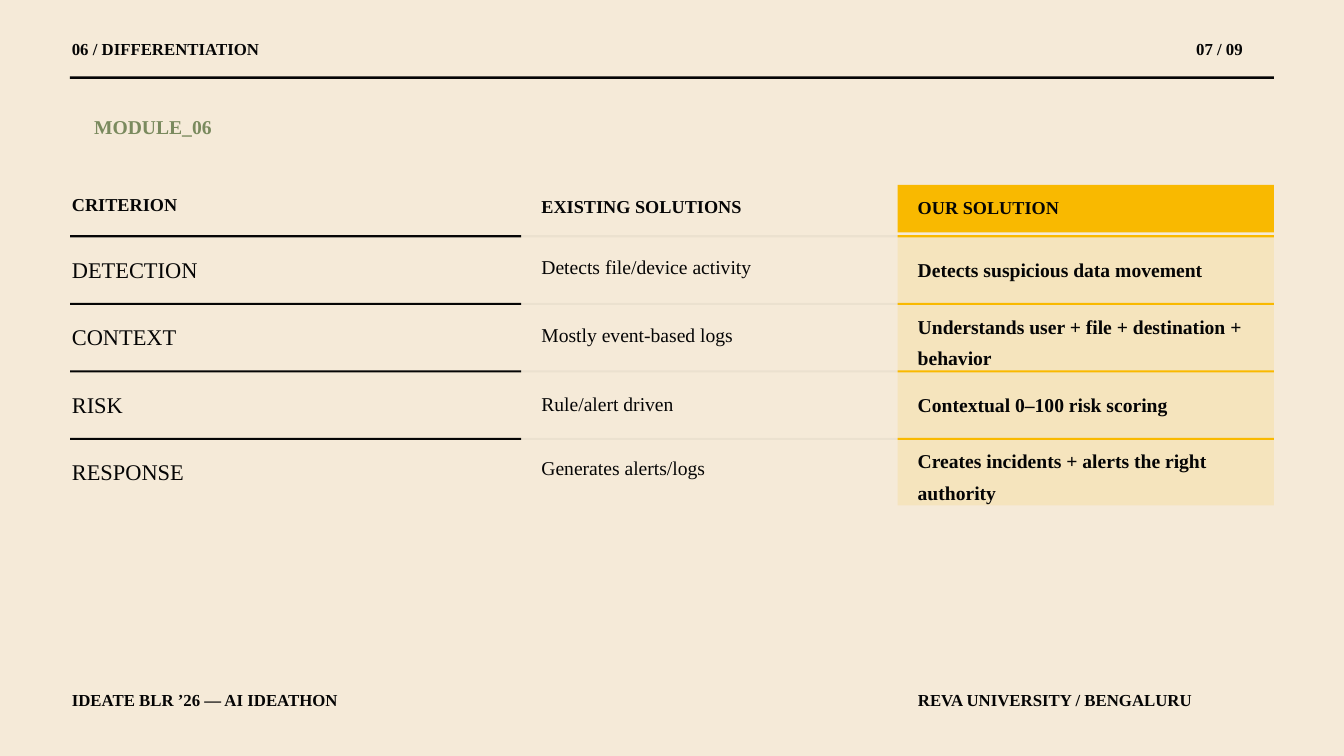
import pptx
import pptx.dml.color
import pptx.enum.shapes
import pptx.enum.text
import pptx.oxml.ns
import pptx.util
from lxml import etree

Pt = pptx.util.Pt
RGBColor = pptx.dml.color.RGBColor
name = pptx.oxml.ns.qn

CREAM = RGBColor(0xF5, 0xEA, 0xD8)
INK = RGBColor(0x05, 0x05, 0x05)
OLIVE = RGBColor(0x7A, 0x8A, 0x5E)
AMBER = RGBColor(0xF9, 0xB9, 0x00)
FONT = "Times New Roman"

# Content: text, left, top, width, height, size, line spacing, colour
LABELS = [
    ("06 / DIFFERENTIATION", 77, 34, 305, 28, 18, 29.2, INK),
    ("07 / 09", 1281.6, 34, 87, 28, 18, 29.2, INK),
    ("MODULE_06", 100.8, 114.5, 165, 32, 21, 33.6, OLIVE),
    ("IDEATE BLR ʼ26 — AI IDEATHON", 77, 731.5, 410, 28, 18, 29.2, INK),
    ("REVA UNIVERSITY / BENGALURU", 983.5, 731.5, 418, 28, 18, 29.2, INK),
]

# Each cell: text, space above it
ROWS = [
    [("CRITERION", 1.5), ("EXISTING SOLUTIONS", 3.6), ("OUR SOLUTION", 5)],
    [("DETECTION", 11.5), ("Detects file/device activity", 12),
     ("Detects suspicious data movement", 15.6)],
    [("CONTEXT", 11.5), ("Mostly event-based logs", 12.6),
     ("Understands user + file + destination + behavior", 4)],
    [("RISK", 11.5), ("Rule/alert driven", 14.4),
     ("Contextual 0–100 risk scoring", 15)],
    [("RESPONSE", 11.5), ("Generates alerts/logs", 9.8),
     ("Creates incidents + alerts the right authority", 3.2)],
]
# Each column: width, left inset, rule colour, rule opacity in percent,
# tint opacity in percent, body size, body spacing, bold
COLUMNS = [
    (483.5, 2, INK, 100, 0, 24, 38.6, False),
    (403.3, 21.6, INK, 4, 0, 21, 33.6, False),
    (403.2, 21.5, AMBER, 100, 12, 21, 33.6, True),
]
LEFT, TOP = 75, 198
HEADER_HEIGHT, ROW_HEIGHT = 55, 72.4
RULE = 2.25
RULES_TOP = TOP + HEADER_HEIGHT - 1
TABLE_WIDTH = sum(column[0] for column in COLUMNS)


def write_text(frame, text, size=21, spacing=33.6, color=INK, bold=True):
    paragraph = frame.paragraphs[0]
    paragraph.line_spacing = Pt(spacing)
    span = paragraph.add_run()
    span.text = text
    span.font.name = FONT
    span.font.size = Pt(size)
    span.font.bold = bold
    span.font.color.rgb = color


def add_label(page, text, left, top, width, height, **text_format):
    box = page.shapes.add_textbox(Pt(left), Pt(top), Pt(width), Pt(height))
    frame = box.text_frame
    frame.word_wrap = True
    frame.margin_left = frame.margin_right = 0
    frame.margin_top = frame.margin_bottom = 0
    write_text(frame, text, **text_format)


def add_bar(page, left, top, width, height, color, opacity=100):
    bar = page.shapes.add_shape(
        pptx.enum.shapes.MSO_SHAPE.RECTANGLE,
        Pt(left), Pt(top), Pt(width), Pt(height))
    bar.shadow.inherit = False
    bar.fill.solid()
    bar.fill.fore_color.rgb = color
    bar.line.fill.background()
    if opacity < 100:
        shade = bar._element.spPr.find(
            name("a:solidFill")).find(name("a:srgbClr"))
        etree.SubElement(shade, name("a:alpha")).set("val", str(opacity * 1000))


def clear_borders(cell):
    properties = cell._tc.get_or_add_tcPr()
    for edge in ("a:lnL", "a:lnR", "a:lnT", "a:lnB"):
        line = etree.SubElement(properties, name(edge), w="0")
        etree.SubElement(line, name("a:noFill"))


def add_rules_and_tints(page):
    # The amber header panel stops just short of the rule below it
    panel_width = COLUMNS[-1][0]
    add_bar(page, LEFT + TABLE_WIDTH - panel_width, TOP, panel_width, 51, AMBER)

    for r in range(len(ROWS) - 1):
        left, top = LEFT, RULES_TOP + r * ROW_HEIGHT
        for width, _, color, opacity, tint, *_ in COLUMNS:
            if tint:
                add_bar(page, left, top, width, ROW_HEIGHT, color, tint)
            add_bar(page, left, top, width, RULE, color, opacity)
            left += width


def add_comparison(page):
    heights = [HEADER_HEIGHT] + [ROW_HEIGHT] * (len(ROWS) - 1)
    table = page.shapes.add_table(
        len(ROWS), len(COLUMNS), Pt(LEFT), Pt(TOP),
        Pt(TABLE_WIDTH), Pt(sum(heights))).table
    table.horz_banding = False
    for row, height in zip(table.rows, heights):
        row.height = Pt(height)

    for c, (width, inset, _, _, _, size, spacing, bold) in enumerate(COLUMNS):
        table.columns[c].width = Pt(width)
        for r, row in enumerate(ROWS):
            text, space_above = row[c]
            cell = table.cell(r, c)
            cell.margin_left, cell.margin_right = Pt(inset), Pt(9)
            cell.margin_top, cell.margin_bottom = Pt(space_above), 0
            cell.vertical_anchor = pptx.enum.text.MSO_ANCHOR.TOP
            clear_borders(cell)
            cell.fill.background()
            if r == 0:
                write_text(cell.text_frame, text, size=19.5, spacing=31.4)
            else:
                write_text(cell.text_frame, text, size=size,
                           spacing=spacing, bold=bold)


def main():
    deck = pptx.Presentation()
    deck.slide_width, deck.slide_height = Pt(1440), Pt(810)
    page = deck.slides.add_slide(deck.slide_layouts[6])
    page.background.fill.solid()
    page.background.fill.fore_color.rgb = CREAM

    # Header rule, running labels and section name
    add_bar(page, LEFT, 81.9, TABLE_WIDTH, 2.7, INK)
    for text, left, top, width, height, size, spacing, color in LABELS:
        add_label(page, text, left, top, width, height,
                  size=size, spacing=spacing, color=color)

    # Comparison table over its rules and tints
    add_rules_and_tints(page)
    add_comparison(page)
    deck.save("out.pptx")


if __name__ == "__main__":
    main()
